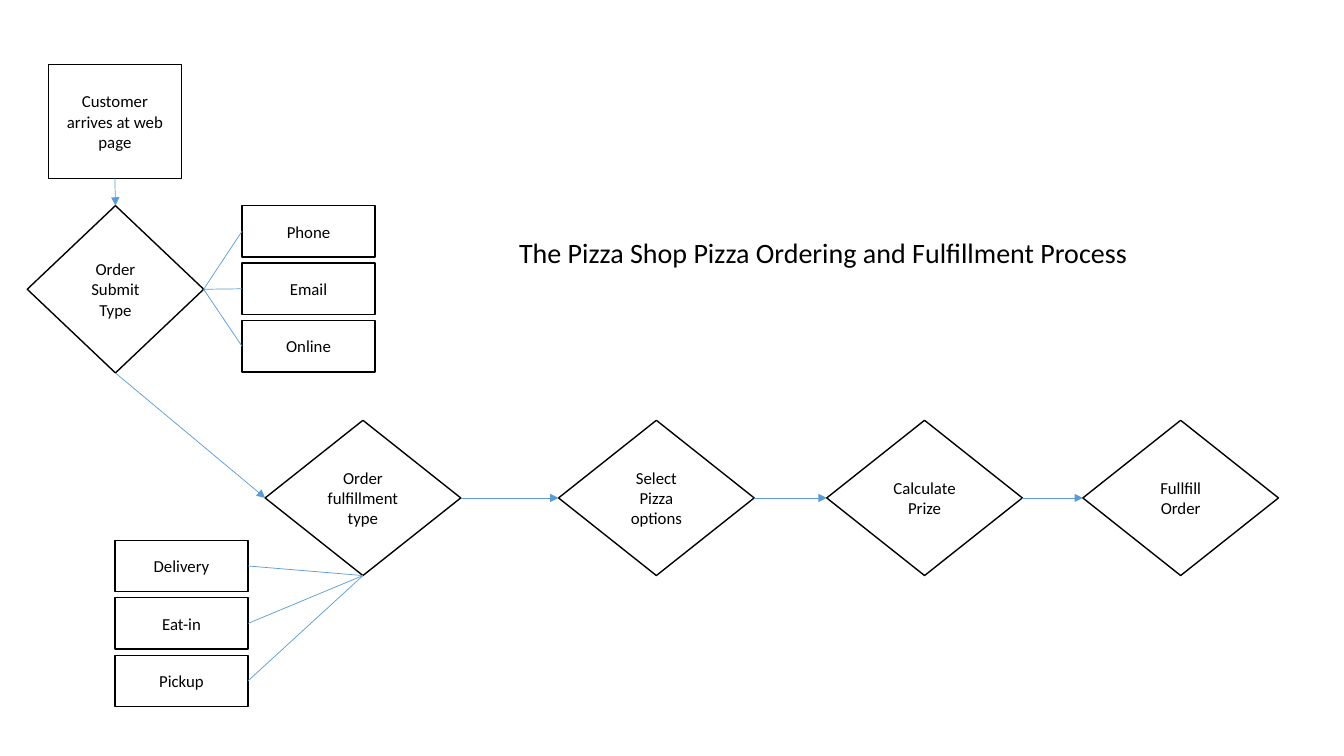
"""Build the pizza ordering and fulfillment flowchart slide."""
from dataclasses import dataclass

from lxml import etree
from pptx import Presentation
from pptx.dml.color import RGBColor
from pptx.enum.shapes import MSO_CONNECTOR, MSO_SHAPE
from pptx.enum.text import MSO_ANCHOR, MSO_AUTO_SIZE, PP_ALIGN
from pptx.oxml.ns import qn
from pptx.shapes.autoshape import Shape
from pptx.slide import Slide
from pptx.text.text import TextFrame
from pptx.util import Inches, Pt

RECTANGLE = MSO_SHAPE.RECTANGLE
DIAMOND = MSO_SHAPE.DIAMOND
STRAIGHT = MSO_CONNECTOR.STRAIGHT
MIDDLE = MSO_ANCHOR.MIDDLE
FIT_SHAPE = MSO_AUTO_SIZE.SHAPE_TO_FIT_TEXT
LEFT_ALIGN = PP_ALIGN.LEFT
CENTER = PP_ALIGN.CENTER

BLACK = RGBColor(0x00, 0x00, 0x00)
WHITE = RGBColor(0xFF, 0xFF, 0xFF)
BLUE = RGBColor(0x5B, 0x9B, 0xD5)

TOP, LEFT, BOTTOM, RIGHT = range(4)
BOX_WIDTH = 1.32
OPTION_HEIGHT = 0.51
OPTION_PITCH = 0.57
STEP_TOP, STEP_WIDTH, STEP_HEIGHT = 4.17, 1.94, 1.54


@dataclass(frozen=True)
class Node:
    text: str
    left: float
    top: float
    width: float
    height: float
    kind: MSO_SHAPE = DIAMOND


@dataclass(frozen=True)
class OptionGroup:
    names: tuple[str, ...]
    left: float
    top: float
    decision: str
    decision_side: int
    option_side: int


@dataclass(frozen=True)
class Flow:
    start: str
    start_side: int
    end: str
    end_side: int
    arrow: bool = True


STEPS = (
    ("Order fulfillment type", 2.63),
    ("Select Pizza options", 5.54),
    ("Calculate Prize", 8.2),
    ("Fullfill Order", 10.74),
)
OPTION_GROUPS = (
    OptionGroup(("Phone", "Email", "Online"), 2.4, 2.04, "Order Submit Type", RIGHT, LEFT),
    OptionGroup(("Delivery", "Eat-in", "Pickup"), 1.14, 5.36, "Order fulfillment type", BOTTOM, RIGHT),
)
NODES = [
    Node("Customer arrives at web page", 0.48, 0.64, BOX_WIDTH, 1.13, RECTANGLE),
    Node("Order Submit Type", 0.27, 2.04, 1.75, 1.66),
    *(Node(name, left, STEP_TOP, STEP_WIDTH, STEP_HEIGHT) for name, left in STEPS),
    *(
        Node(name, group.left, group.top + row * OPTION_PITCH, BOX_WIDTH, OPTION_HEIGHT, RECTANGLE)
        for group in OPTION_GROUPS
        for row, name in enumerate(group.names)
    ),
]
FLOWS = [
    Flow("Customer arrives at web page", BOTTOM, "Order Submit Type", TOP),
    Flow("Order Submit Type", BOTTOM, "Order fulfillment type", LEFT),
    *(Flow(start, RIGHT, end, LEFT) for (start, _), (end, _) in zip(STEPS, STEPS[1:])),
    *(
        Flow(group.decision, group.decision_side, name, group.option_side, arrow=False)
        for group in OPTION_GROUPS
        for name in group.names
    ),
]


def write_text(frame: TextFrame, text: str, *, size: float = 12, align: PP_ALIGN = CENTER) -> None:
    para = frame.paragraphs[0]
    para.alignment = align
    span = para.add_run()
    span.text = text
    span.font.name = "Calibri"
    span.font.size = Pt(size)
    span.font.color.rgb = BLACK


def add_node(page: Slide, node: Node) -> Shape:
    box = page.shapes.add_shape(
        node.kind, Inches(node.left), Inches(node.top), Inches(node.width), Inches(node.height)
    )
    box.shadow.inherit = False
    box.fill.solid()
    box.fill.fore_color.rgb = WHITE
    box.line.color.rgb = BLACK
    box.line.width = Pt(1)
    box.text_frame.word_wrap = True
    box.text_frame.vertical_anchor = MIDDLE
    write_text(box.text_frame, node.text)
    return box


def add_flow(page: Slide, flow: Flow, boxes: dict[str, Shape]) -> None:
    connector = page.shapes.add_connector(STRAIGHT, 0, 0, 0, 0)
    connector.begin_connect(boxes[flow.start], flow.start_side)
    connector.end_connect(boxes[flow.end], flow.end_side)
    connector.line.color.rgb = BLUE
    connector.line.width = Pt(0.5)
    properties = connector._element.spPr
    if flow.arrow:
        etree.SubElement(properties.find(qn("a:ln")), qn("a:tailEnd"), type="triangle")
    etree.SubElement(properties, qn("a:effectLst"))


def add_title(page: Slide, text: str) -> None:
    box = page.shapes.add_textbox(Inches(5.05), Inches(2.29), Inches(6.29), Inches(0.44))
    box.text_frame.word_wrap = False
    box.text_frame.auto_size = FIT_SHAPE
    write_text(box.text_frame, text, size=20, align=LEFT_ALIGN)


def main() -> None:
    deck = Presentation()
    deck.slide_width = Inches(13.33)
    deck.slide_height = Inches(7.5)
    page = deck.slides.add_slide(deck.slide_layouts[6])
    boxes = {node.text: add_node(page, node) for node in NODES}
    for flow in FLOWS:
        add_flow(page, flow, boxes)
    add_title(page, "The Pizza Shop Pizza Ordering and Fulfillment Process")
    deck.save("out.pptx")


if __name__ == "__main__":
    main()
